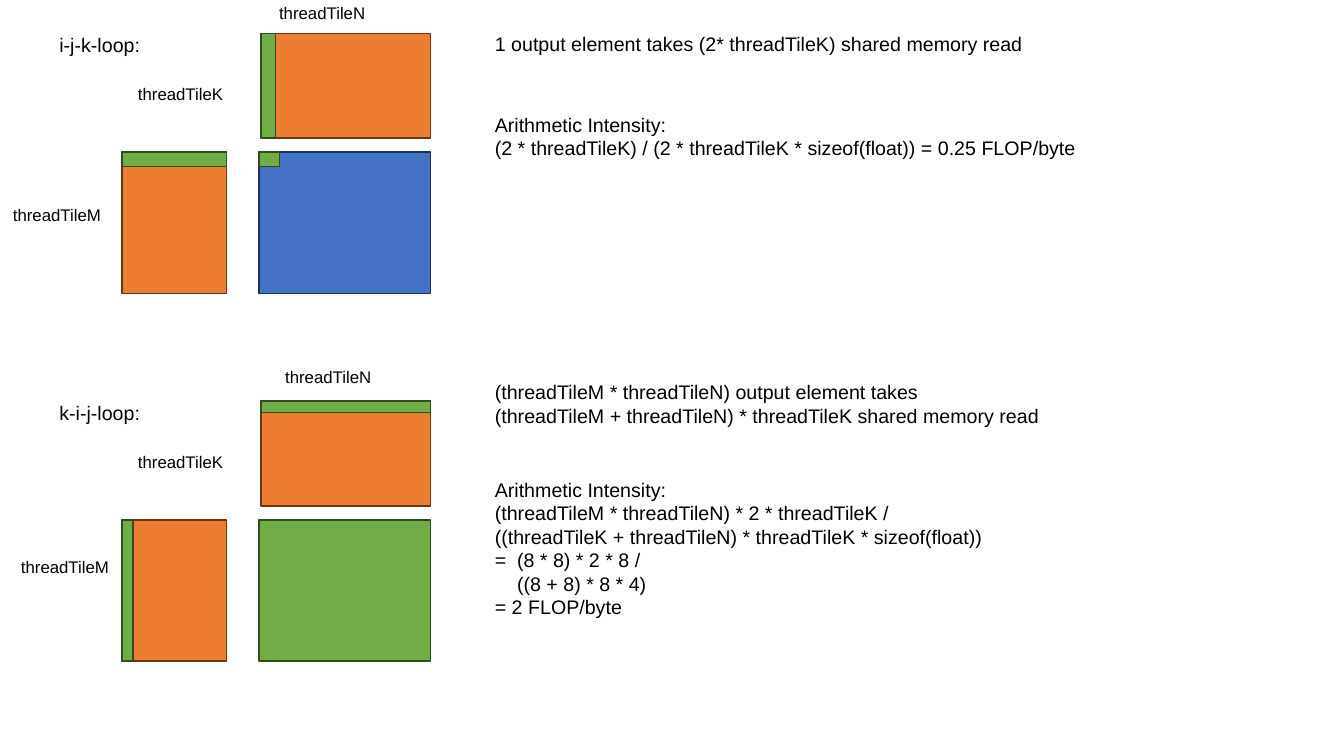
import pptx
import pptx.dml.color
import pptx.enum.shapes
import pptx.enum.text
import pptx.util

COLORS = {
    "output": "4472C4", "output line": "1E3256",
    "input": "ED7D31", "input line": "683715",
    "active": "70AD47", "active line": "314C1F",
    "text": "000000",
}
PANEL_PITCH = 3.65
COLUMN_A, COLUMN_B, COLUMN_NOTES = 1.21, 2.59, 4.81
ROW_B, ROW_A = 0.33, 1.51
TILE_K, TILE_M, TILE_N = 1.04, 1.4, 1.68
STEP = 0.14
HANG = 0.22

deck = pptx.Presentation()
deck.slide_width = pptx.util.Inches(13.33)
deck.slide_height = pptx.util.Inches(7.5)
page = deck.slides.add_slide(deck.slide_layouts[6])


def add_tile(role, left, top, width, height):
    tile = page.shapes.add_shape(
        pptx.enum.shapes.MSO_SHAPE.RECTANGLE,
        *(pptx.util.Inches(length) for length in (left, top, width, height)))
    tile.shadow.inherit = False
    tile.fill.solid()
    tile.fill.fore_color.rgb = pptx.dml.color.RGBColor.from_string(COLORS[role])
    tile.line.color.rgb = pptx.dml.color.RGBColor.from_string(COLORS[role + " line"])
    tile.line.width = pptx.util.Pt(1)


def add_text(lines, left, top, width, height, size):
    box = page.shapes.add_textbox(
        *(pptx.util.Inches(length) for length in (left, top, width, height)))
    frame = box.text_frame
    frame.word_wrap = True
    frame.auto_size = pptx.enum.text.MSO_AUTO_SIZE.SHAPE_TO_FIT_TEXT
    frame.text = "\n".join(lines)
    for para in frame.paragraphs:
        if para.text.startswith(("=\t", "((8")):
            properties = para._p.get_or_add_pPr()
            properties.set("marL", str(pptx.util.Inches(HANG)))
            properties.set("indent", str(pptx.util.Inches(-HANG if "\t" in para.text else 0)))
        para.font.name = "Arial"
        para.font.size = pptx.util.Pt(size)
        para.font.color.rgb = pptx.dml.color.RGBColor.from_string(COLORS["text"])


panels = [
    {
        "loop": "i-j-k-loop:",
        "output": "output",
        "active": [
            (COLUMN_A, ROW_A, TILE_K, STEP),
            (COLUMN_B, ROW_B, STEP, TILE_K),
            (COLUMN_B - 0.02, ROW_A, 0.2, STEP),
        ],
        "label n": (2.67, -0.02),
        "label m": (0.03, 1.98),
        "notes": [
            (0.27, 5.45, 0.34, ["1 output element takes (2* threadTileK) shared memory read"]),
            (1.07, 6.06, 0.57, [
                "Arithmetic Intensity:",
                "(2 * threadTileK) / (2 * threadTileK * sizeof(float)) = 0.25 FLOP/byte",
            ]),
        ],
    },
    {
        "loop": "k-i-j-loop:",
        "output": "active",
        "active": [
            (COLUMN_A, ROW_A, 0.11, TILE_M),
            (COLUMN_B, ROW_B, TILE_N, 0.11),
        ],
        "label n": (2.73, -0.06),
        "label m": (0.11, 1.82),
        "notes": [
            (0.07, 8.14, 0.57, [
                "(threadTileM * threadTileN) output element takes",
                "(threadTileM + threadTileN) * threadTileK shared memory read",
            ]),
            (1.04, 6.06, 1.51, [
                "Arithmetic Intensity:",
                "(threadTileM * threadTileN) * 2 * threadTileK /",
                "((threadTileK + threadTileN) * threadTileK * sizeof(float))",
                "=\t(8 * 8) * 2 * 8 /",
                "((8 + 8) * 8 * 4)",
                "= 2 FLOP/byte",
            ]),
        ],
    },
]

for index, panel in enumerate(panels):
    origin = index * PANEL_PITCH
    add_text([panel["loop"]], 0.49, origin + 0.28, 2.71, 0.34, 14)

    add_tile(panel["output"], COLUMN_B - 0.02, origin + ROW_A, TILE_N + 0.02, TILE_M)
    add_tile("input", COLUMN_A, origin + ROW_A, TILE_K, TILE_M)
    add_tile("input", COLUMN_B, origin + ROW_B, TILE_N, TILE_K)
    for left, top, width, height in panel["active"]:
        add_tile("active", left, origin + top, width, height)

    labels = {
        "threadTileK": (1.27, 0.78),
        "threadTileN": panel["label n"],
        "threadTileM": panel["label m"],
    }
    for label, (left, top) in labels.items():
        add_text([label], left, origin + top, 1.64, 0.3, 12)

    for top, width, height, lines in panel["notes"]:
        add_text(lines, COLUMN_NOTES, origin + top, width, height, 14)

deck.save("out.pptx")
